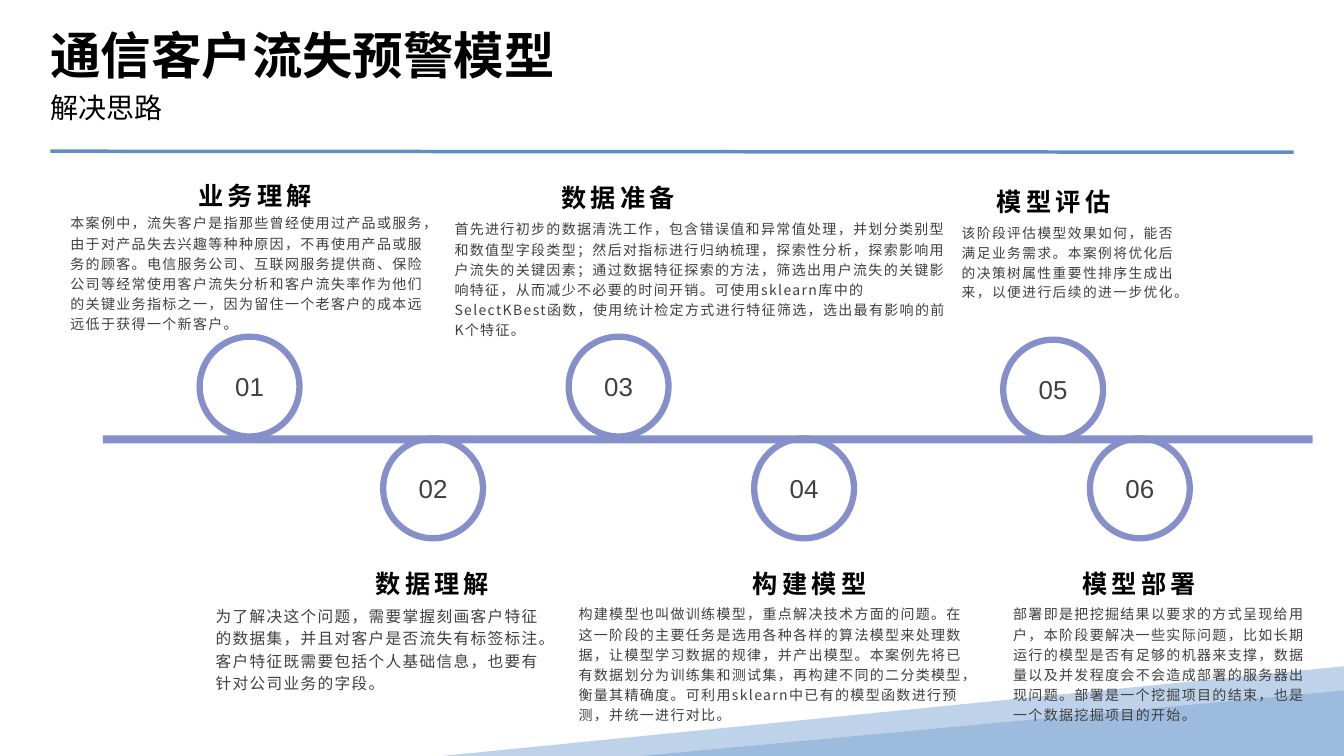
"""Build the six-step timeline slide for the telecom customer churn warning model."""
from lxml.etree import SubElement
from pptx import Presentation
from pptx.dml.color import RGBColor
from pptx.enum.shapes import MSO_CONNECTOR, MSO_SHAPE as SHAPE
from pptx.enum.text import MSO_ANCHOR as ANCHOR, PP_ALIGN as ALIGN
from pptx.oxml.ns import qn
from pptx.util import Inches, Pt

BLACK = RGBColor(0x00, 0x00, 0x00)
GREY = RGBColor(0x40, 0x40, 0x40)
PERIWINKLE = RGBColor(0x85, 0x90, 0xCA)
RULE_BLUE = RGBColor(0x5C, 0x8F, 0xC7)
PALE_BLUE = RGBColor(0xBE, 0xD2, 0xE9)
MID_BLUE = RGBColor(0x9D, 0xBC, 0xDD)
CJK = "Noto Sans CJK SC"
RING = 0.99


def write(shape, text, size, color, font=CJK, bold=False, spacing=0, line=1.2,
          align=ALIGN.LEFT, anchor=ANCHOR.TOP, inset=None):
    frame = shape.text_frame
    frame.word_wrap = True
    frame.vertical_anchor = anchor
    if inset is not None:
        frame.margin_left = frame.margin_right = Inches(inset)
        frame.margin_top = frame.margin_bottom = Inches(inset)
    frame.text = text
    paragraph = frame.paragraphs[0]
    paragraph.alignment = align
    paragraph.line_spacing = line
    paragraph.font.size = Pt(size)
    paragraph.font.bold = bold
    paragraph.font.name = font
    paragraph.font.color.rgb = color
    properties = paragraph._p.pPr.find(qn("a:defRPr"))
    properties.set("spc", str(spacing * 100))
    SubElement(properties, qn("a:ea")).set("typeface", CJK)


def paint(shape, color):
    shape.shadow.inherit = False
    shape.fill.solid()
    shape.fill.fore_color.rgb = color
    shape.line.fill.background()


prs = Presentation()
prs.slide_width, prs.slide_height = Inches(13.33), Inches(7.5)
slide = prs.slides.add_slide(prs.slide_layouts[6])
shapes = slide.shapes

outline = shapes.build_freeform(Inches(13.33), Inches(6.61))
outline.add_line_segments(
    [(Inches(x), Inches(y)) for x, y in [(13.33, 7.44), (8.97, 7.5), (4.38, 7.5)]])
paint(outline.convert_to_shape(), PALE_BLUE)
wedge = shapes.add_shape(
    SHAPE.ISOSCELES_TRIANGLE, Inches(6.36), Inches(6.85), Inches(6.97), Inches(0.65))
wedge.adjustments[0] = 1
paint(wedge, MID_BLUE)

timeline = shapes.add_shape(
    SHAPE.RECTANGLE, Inches(1.02), Inches(4.32), Inches(12), Inches(0.08))
paint(timeline, PERIWINKLE)

steps = [
    ("业务理解", (1.98, 3.34), (1.35, 1.66), (0.6, 2.05, 3.82, 1.18), 10,
     "本案例中，流失客户是指那些曾经使用过产品或服务，由于对产品失去兴趣等种种原因，"
     "不再使用产品或服务的顾客。电信服务公司、互联网服务提供商、保险公司等经常使用客户"
     "流失分析和客户流失率作为他们的关键业务指标之一，因为留住一个老客户的成本远远低于"
     "获得一个新客户。"),
    ("数据理解", (3.8, 4.35), (3.11, 5.51), (2.04, 5.93, 3.43, 1.23), 11.2,
     "为了解决这个问题，需要掌握刻画客户特征的数据集，并且对客户是否流失有标签标注。"
     "客户特征既需要包括个人基础信息，也要有针对公司业务的字段。"),
    ("数据准备", (5.64, 3.34), (4.95, 1.68), (4.41, 2.11, 5.07, 1.06), 10,
     "首先进行初步的数据清洗工作，包含错误值和异常值处理，并划分类别型和数值型字段类型；"
     "然后对指标进行归纳梳理，探索性分析，探索影响用户流失的关键因素；通过数据特征探索的"
     "方法，筛选出用户流失的关键影响特征，从而减少不必要的时间开销。可使用sklearn库中的"
     "SelectKBest函数，使用统计检定方式进行特征筛选，选出最有影响的前K个特征。"),
    ("构建模型", (7.48, 4.35), (6.85, 5.51), (5.64, 5.93, 4.01, 1.23), 10,
     "构建模型也叫做训练模型，重点解决技术方面的问题。在这一阶段的主要任务是选用各种各样"
     "的算法模型来处理数据，让模型学习数据的规律，并产出模型。本案例先将已有数据划分为"
     "训练集和测试集，再构建不同的二分类模型，衡量其精确度。可利用sklearn中已有的模型"
     "函数进行预测，并统一进行对比。"),
    ("模型评估", (9.95, 3.37), (9.27, 1.72), (9.44, 2.15, 2.36, 1.06), 9.8,
     "该阶段评估模型效果如何，能否满足业务需求。本案例将优化后的决策树属性重要性排序生成"
     "出来，以便进行后续的进一步优化。"),
    ("模型部署", (10.81, 4.35), (10.12, 5.51), (9.95, 5.93, 3.15, 1.23), 10,
     "部署即是把挖掘结果以要求的方式呈现给用户，本阶段要解决一些实际问题，比如长期运行的"
     "模型是否有足够的机器来支撑，数据量以及并发程度会不会造成部署的服务器出现问题。部署"
     "是一个挖掘项目的结束，也是一个数据挖掘项目的开始。"),
]
for number, (name, ring_at, name_at, detail_at, size, detail) in enumerate(steps, 1):
    ring = shapes.add_shape(SHAPE.OVAL, *map(Inches, ring_at), Inches(RING), Inches(RING))
    ring.shadow.inherit = False
    ring.fill.background()
    ring.line.color.rgb = PERIWINKLE
    ring.line.width = Pt(4.5)
    write(ring, f"{number:02}", 18.5, GREY, "Arial", line=1,
          align=ALIGN.CENTER, anchor=ANCHOR.MIDDLE, inset=0)
    heading = shapes.add_textbox(*map(Inches, name_at), Inches(2.36), Inches(0.49))
    write(heading, name, 18, BLACK, "Arial", bold=True, spacing=3,
          align=ALIGN.CENTER, anchor=ANCHOR.MIDDLE)
    write(shapes.add_textbox(*map(Inches, detail_at)), detail, size, GREY, spacing=1)

rule = shapes.add_connector(
    MSO_CONNECTOR.STRAIGHT, Inches(0.5), Inches(1.5), Inches(12.83), Inches(1.51))
rule.line.color.rgb = RULE_BLUE
rule.line.width = Pt(2.5)
SubElement(rule._element.spPr, qn("a:effectLst"))

title = shapes.add_textbox(Inches(0.5), Inches(0.17), Inches(12.33), Inches(0.67))
write(title, "通信客户流失预警模型", 36, BLACK, bold=True, line=1, anchor=ANCHOR.BOTTOM, inset=0)
subtitle = shapes.add_textbox(Inches(0.5), Inches(0.83), Inches(12.33), Inches(0.5))
write(subtitle, "解决思路", 20, BLACK, inset=0)

prs.save("out.pptx")
